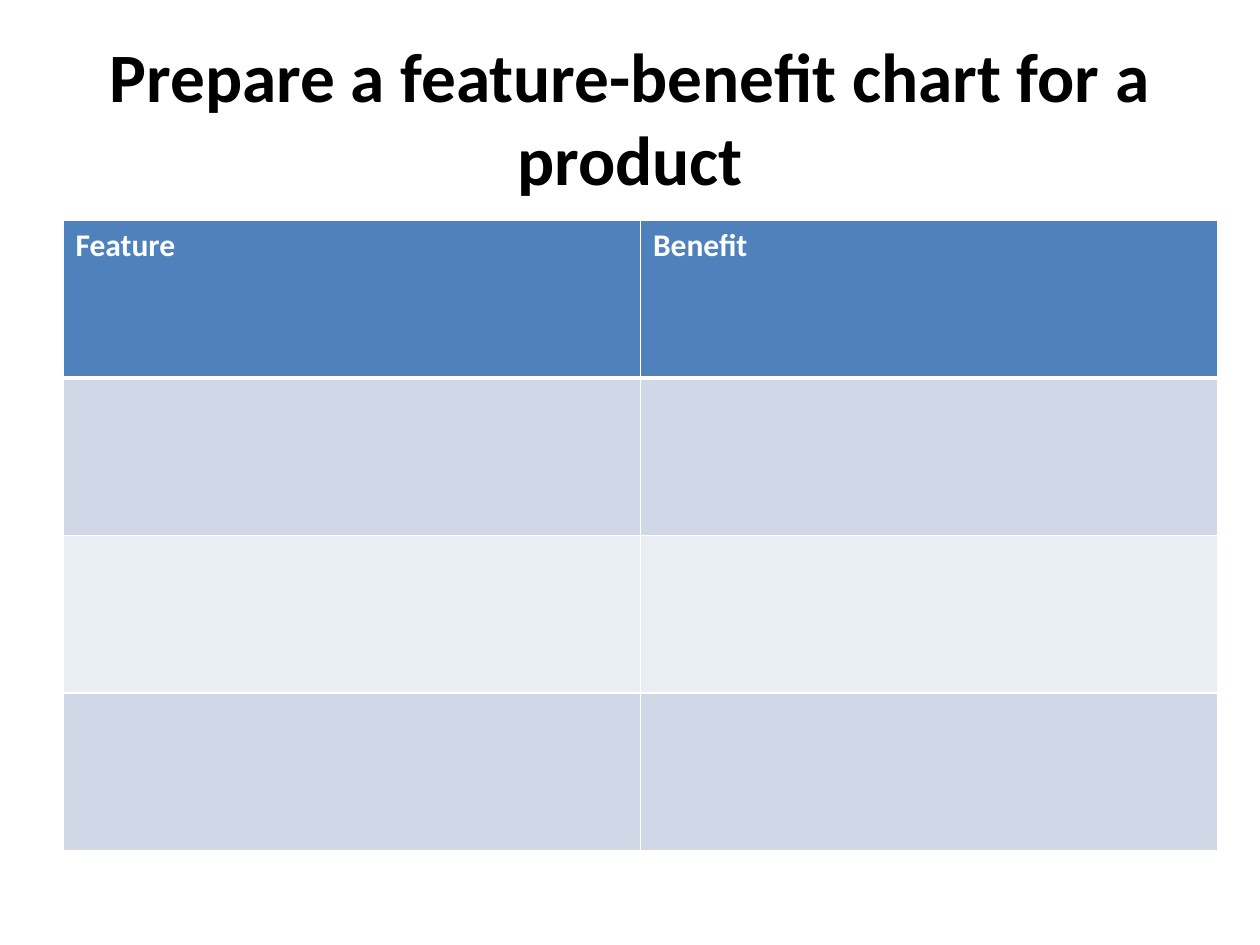
from dataclasses import dataclass

import lxml.etree
import pptx
import pptx.dml.color
import pptx.enum.text
import pptx.oxml.ns
import pptx.table
import pptx.text.text
import pptx.util

Pt = pptx.util.Pt


@dataclass(frozen=True)
class Theme:
    font: str = "Calibri"
    title_size: float = 39.6
    header_size: float = 18
    title_color: str = "000000"
    header_color: str = "FFFFFF"
    border_color: str = "FFFFFF"
    header_fill: str = "4F81BD"
    band_fills: tuple[str, str] = ("D0D8E8", "E9EDF4")


@dataclass(frozen=True)
class Box:
    left: float
    top: float
    width: float
    height: float


THEME = Theme()
TITLE_BOX = Box(36, 21.6, 648, 90)
TABLE_BOX = Box(36, 126, 660, 360)
HEADERS = ("Feature", "Benefit")
ROW_COUNT = 4


def place(shape, box: Box) -> None:
    for name in ("left", "top", "width", "height"):
        setattr(shape, name, Pt(getattr(box, name)))


def format_paragraph(paragraph: pptx.text.text._Paragraph, size: float, color: str) -> None:
    values = {"name": THEME.font, "size": Pt(size), "bold": True}
    for name, value in values.items():
        setattr(paragraph.font, name, value)
    paragraph.font.color.rgb = pptx.dml.color.RGBColor.from_string(color)


def add_borders(cell: pptx.table._Cell, widths: dict[str, float]) -> None:
    """Add cell edges in schema order; call this before setting the fill."""
    qualified = pptx.oxml.ns.qn
    properties = cell._tc.get_or_add_tcPr()
    for edge, width in widths.items():
        line = lxml.etree.SubElement(properties, qualified(f"a:{edge}"), w=str(Pt(width)))
        fill = lxml.etree.SubElement(line, qualified("a:solidFill"))
        lxml.etree.SubElement(fill, qualified("a:srgbClr"), val=THEME.border_color)


def format_cell(cell: pptx.table._Cell, row: int) -> None:
    """Give a cell its borders and its header or band fill."""
    top = 3 if row == 1 else 1
    bottom = 3 if row == 0 else 1
    add_borders(cell, {"lnL": 1, "lnR": 1, "lnT": top, "lnB": bottom})
    color = THEME.band_fills[(row - 1) % 2] if row else THEME.header_fill
    cell.fill.solid()
    cell.fill.fore_color.rgb = pptx.dml.color.RGBColor.from_string(color)


def add_title(slide, text: str) -> None:
    title = slide.shapes.title
    place(title, TITLE_BOX)
    frame = title.text_frame
    frame.text = text
    values = {
        "word_wrap": True,
        "auto_size": pptx.enum.text.MSO_AUTO_SIZE.NONE,
        "vertical_anchor": pptx.enum.text.MSO_ANCHOR.MIDDLE,
    }
    for name, value in values.items():
        setattr(frame, name, value)
    paragraph = frame.paragraphs[0]
    paragraph.alignment = pptx.enum.text.PP_ALIGN.CENTER
    format_paragraph(paragraph, THEME.title_size, THEME.title_color)


def add_feature_table(slide) -> None:
    box = TABLE_BOX
    table = slide.shapes.add_table(
        ROW_COUNT, len(HEADERS), Pt(box.left), Pt(box.top), Pt(box.width), Pt(box.height)
    ).table
    for row in range(ROW_COUNT):
        for column in range(len(HEADERS)):
            format_cell(table.cell(row, column), row)
    for column, header in enumerate(HEADERS):
        cell = table.cell(0, column)
        cell.text = header
        format_paragraph(cell.text_frame.paragraphs[0], THEME.header_size, THEME.header_color)


def main() -> None:
    presentation = pptx.Presentation()
    presentation.slide_width = Pt(720)
    presentation.slide_height = Pt(540)
    slide = presentation.slides.add_slide(presentation.slide_layouts.get_by_name("Title Only"))
    add_title(slide, "Prepare a feature-benefit chart for a product")
    add_feature_table(slide)
    presentation.save("out.pptx")


if __name__ == "__main__":
    main()
